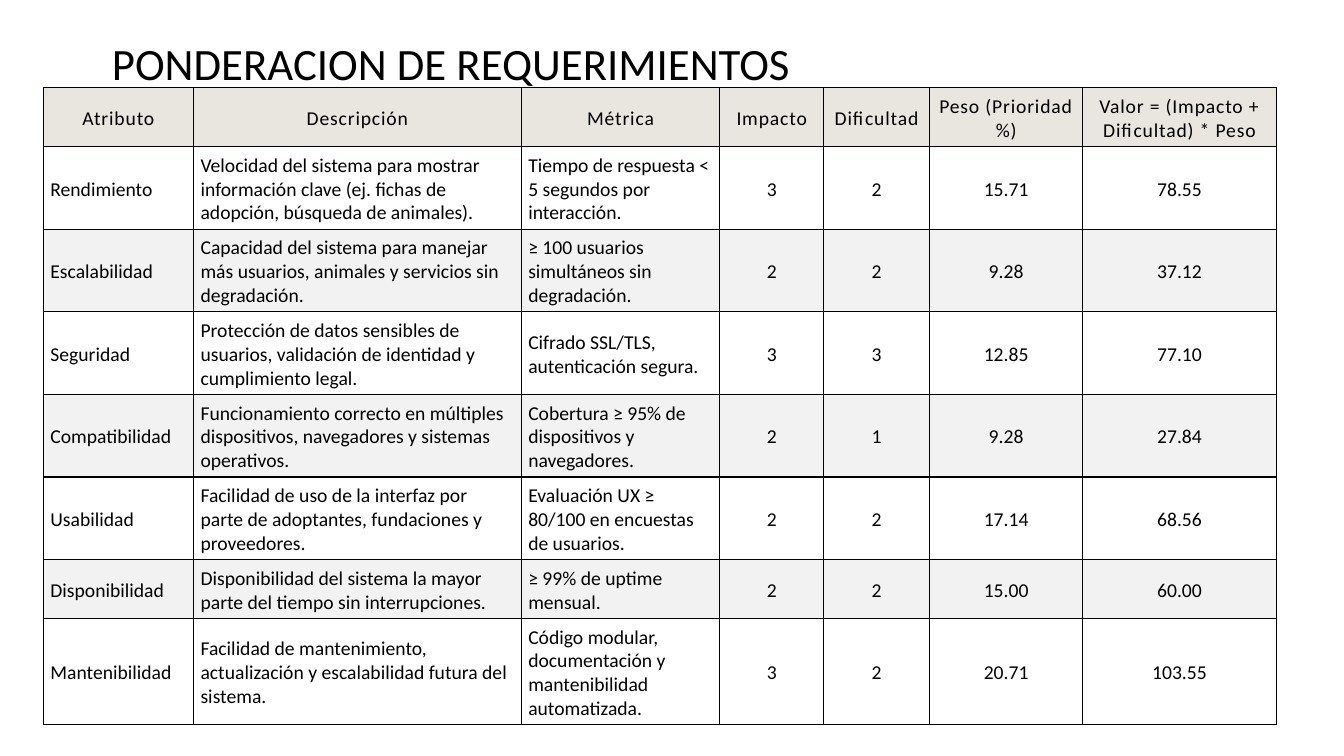
from lxml.etree import SubElement
from pptx import Presentation
from pptx.dml.color import RGBColor
from pptx.enum.text import MSO_ANCHOR as Anchor, PP_ALIGN as Align
from pptx.oxml.ns import qn
from pptx.util import Inches, Pt

TITLE = "PONDERACION DE REQUERIMIENTOS"
HEADERS = ("Atributo", "Descripción", "Métrica", "Impacto", "Dificultad",
           "Peso (Prioridad %)", "Valor = (Impacto + Dificultad) * Peso")
REQUIREMENTS = [
    ("Rendimiento",
     "Velocidad del sistema para mostrar información clave (ej. fichas de adopción, búsqueda de animales).",
     "Tiempo de respuesta < 5 segundos por interacción.", "3", "2", "15.71", "78.55"),
    ("Escalabilidad",
     "Capacidad del sistema para manejar más usuarios, animales y servicios sin degradación.",
     "≥ 100 usuarios simultáneos sin degradación.", "2", "2", "9.28", "37.12"),
    ("Seguridad",
     "Protección de datos sensibles de usuarios, validación de identidad y cumplimiento legal.",
     "Cifrado SSL/TLS, autenticación segura.", "3", "3", "12.85", "77.10"),
    ("Compatibilidad",
     "Funcionamiento correcto en múltiples dispositivos, navegadores y sistemas operativos.",
     "Cobertura ≥ 95% de dispositivos y navegadores.", "2", "1", "9.28", "27.84"),
    ("Usabilidad",
     "Facilidad de uso de la interfaz por parte de adoptantes, fundaciones y proveedores.",
     "Evaluación UX ≥ 80/100 en encuestas de usuarios.", "2", "2", "17.14", "68.56"),
    ("Disponibilidad",
     "Disponibilidad del sistema la mayor parte del tiempo sin interrupciones.",
     "≥ 99% de uptime mensual.", "2", "2", "15.00", "60.00"),
    ("Mantenibilidad",
     "Facilidad de mantenimiento, actualización y escalabilidad futura del sistema.",
     "Código modular, documentación y mantenibilidad automatizada.", "3", "2", "20.71", "103.55"),
]

BLACK = RGBColor(0x00, 0x00, 0x00)
HEADER_FILL = RGBColor(0xE9, 0xE6, 0xDF)
BAND_FILL = RGBColor(0xF2, 0xF2, 0xF2)
FONT = "Calibri"

COLUMN_WIDTHS = (1.49, 3.25, 1.97, 1.03, 1.05, 1.52, 1.92)
ROW_LINES = (2, 3, 3, 3, 3, 3, 2, 4)
LINE_HEIGHT, ROW_PADDING = 0.235, 0.11
TEXT_COLUMNS = 3
CELL_FORMAT = {
    "vertical_anchor": Anchor.MIDDLE,
    "margin_left": Inches(0.07), "margin_right": Inches(0.07),
    "margin_top": Inches(0.07), "margin_bottom": Inches(0.04),
}


def apply(target, values):
    for name, value in values.items():
        setattr(target, name, value)


def write(paragraph, text, size):
    run = paragraph.add_run()
    run.text = text
    apply(run.font, {"name": FONT, "size": Pt(size)})
    run.font.color.rgb = BLACK
    return run


def add_borders(cell):
    properties = cell._tc.get_or_add_tcPr()
    for side in ("a:lnL", "a:lnR", "a:lnT", "a:lnB"):
        line = SubElement(properties, qn(side), w=str(Pt(1)))
        fill = SubElement(line, qn("a:solidFill"))
        SubElement(fill, qn("a:srgbClr"), val=str(BLACK))


def format_cell(cell, text, row, column):
    apply(cell, CELL_FORMAT)
    add_borders(cell)
    if row == 0 or row % 2 == 0:
        cell.fill.solid()
        cell.fill.fore_color.rgb = BAND_FILL if row else HEADER_FILL
    else:
        cell.fill.background()
    paragraph = cell.text_frame.paragraphs[0]
    centred = row == 0 or column >= TEXT_COLUMNS
    paragraph.alignment = Align.CENTER if centred else Align.LEFT
    run = write(paragraph, text, 14)
    if row == 0:
        run.font._element.set("spc", "60")


def add_title(slide):
    title = slide.shapes.title
    apply(title, {"left": Inches(1.01), "top": Inches(-0.01),
                  "width": Inches(11.32), "height": Inches(1.32)})
    title.text_frame.vertical_anchor = Anchor.MIDDLE
    paragraph = title.text_frame.paragraphs[0]
    apply(paragraph, {"alignment": Align.LEFT, "line_spacing": 0.9})
    write(paragraph, TITLE, 32)


def add_requirements(slide):
    rows = [HEADERS, *REQUIREMENTS]
    heights = [ROW_PADDING + LINE_HEIGHT * lines for lines in ROW_LINES]
    table = slide.shapes.add_table(
        len(rows), len(HEADERS), Inches(0.43), Inches(0.87),
        Inches(sum(COLUMN_WIDTHS)), Inches(sum(heights))).table
    for column, width in zip(table.columns, COLUMN_WIDTHS):
        column.width = Inches(width)
    for row, height in zip(table.rows, heights):
        row.height = Inches(height)
    for row, texts in enumerate(rows):
        for column, text in enumerate(texts):
            format_cell(table.cell(row, column), text, row, column)


def main():
    presentation = Presentation()
    apply(presentation, {"slide_width": Inches(13.33), "slide_height": Inches(7.5)})
    slide = presentation.slides.add_slide(presentation.slide_layouts[5])
    add_title(slide)
    add_requirements(slide)
    presentation.save("out.pptx")


if __name__ == "__main__":
    main()
